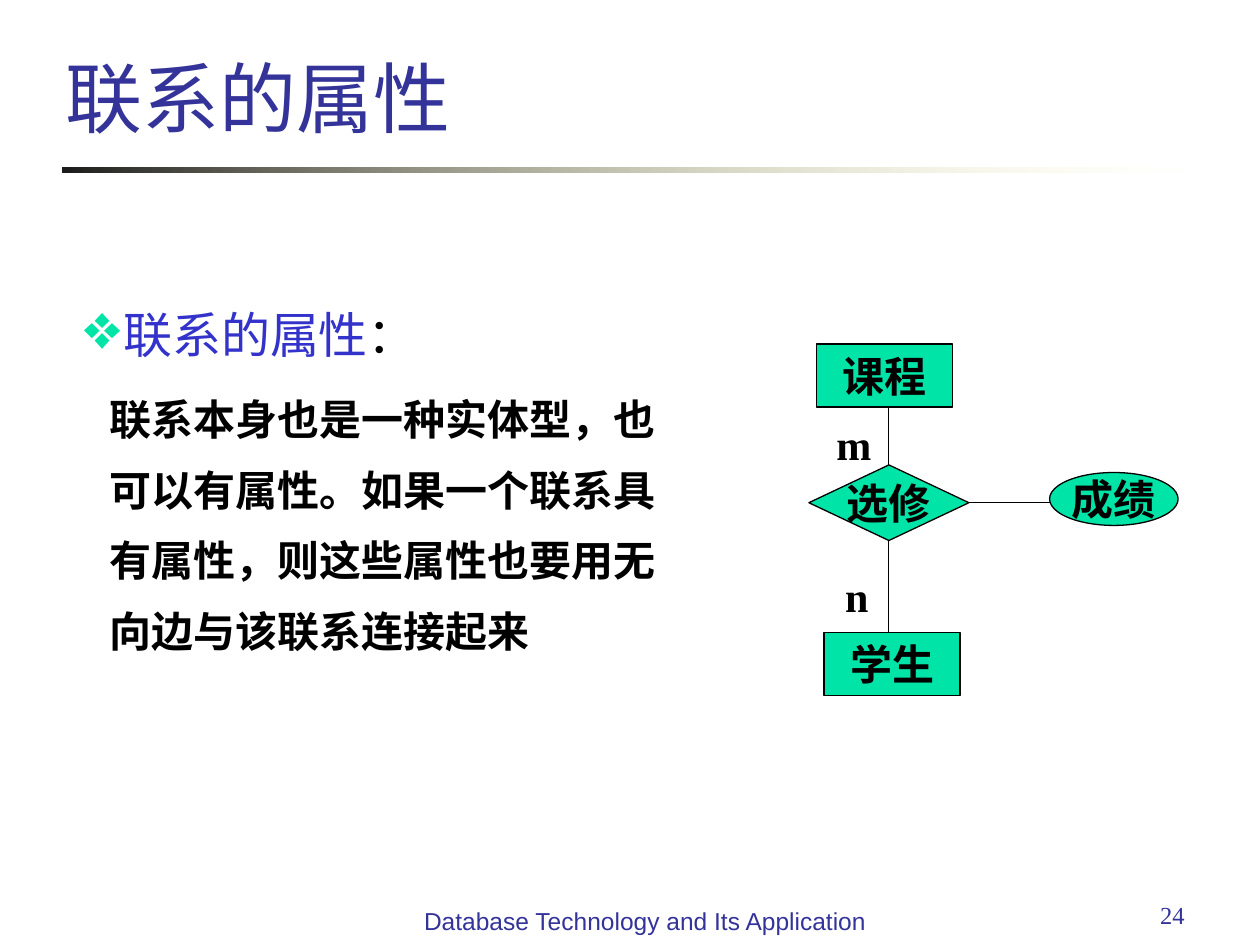
"""Build the slide on attributes of a relationship, with its E-R diagram."""
import pptx
import pptx.util
import pptx.dml.color
import pptx.enum.shapes
import pptx.enum.text
import lxml.etree

Inches, Pt = pptx.util.Inches, pptx.util.Pt
SHAPE = pptx.enum.shapes.MSO_SHAPE
ALIGN = pptx.enum.text.PP_ALIGN
ANCHOR = pptx.enum.text.MSO_ANCHOR
NS = "http://schemas.openxmlformats.org/drawingml/2006/main"
SERIF, SANS = "Times New Roman", "Arial"

COLORS = {"navy": "333399", "blue": "3333CC", "green": "00E4A8", "black": "000000",
          "rule_start": "1C1C1C", "rule_end": "FFFFB7"}

TITLE = "联系的属性"
TERM = [("联系的属性", "blue"), ("：", "black")]
EXPLANATION = "联系本身也是一种实体型，也可以有属性。如果一个联系具有属性，则这些属性也要用无向边与该联系连接起来"
FOOTER = "Database Technology and Its Application"
PAGE_NUMBER = "24"

NODES = [
    ("课程", SHAPE.RECTANGLE, (6.48, 2.73, 1.08, 0.5)),
    ("选修", SHAPE.DIAMOND, (6.42, 3.69, 1.27, 0.6)),
    ("学生", SHAPE.RECTANGLE, (6.54, 5.02, 1.08, 0.5)),
    ("成绩", SHAPE.OVAL, (8.33, 3.75, 1.02, 0.42)),
]
EDGES = [(7.05, 3.69, 7.05, 3.23), (7.05, 4.29, 7.05, 5.02), (7.69, 3.99, 8.33, 3.99)]
CARDINALITIES = [("m", (6.54, 3.27, 0.32, 0.5)), ("n", (6.61, 4.48, 0.32, 0.5))]


def rgb(name):
    return pptx.dml.color.RGBColor.from_string(COLORS[name])


def add_run(p, text, size=24, font=SERIF, color="black", bold=False):
    r = p.add_run()
    r.text = text
    r.font.size, r.font.name, r.font.bold = Pt(size), font, bold
    r.font.color.rgb = rgb(color)


def write(sp, text, align=ALIGN.LEFT, anchor=ANCHOR.TOP, wrap=True, **fmt):
    tf = sp.text_frame
    tf.word_wrap, tf.vertical_anchor = wrap, anchor
    p = tf.paragraphs[0]
    p.alignment = align
    add_run(p, text, **fmt)


def add_text(s, box, text, **fmt):
    write(s.shapes.add_textbox(*map(Inches, box)), text, **fmt)


def add_shape(s, kind, box):
    sp = s.shapes.add_shape(kind, *map(Inches, box))
    sp.shadow.inherit = False
    return sp


def add_rule(s):
    sp = add_shape(s, SHAPE.RECTANGLE, (0.5, 1.33, 9, 0.04))
    sp.line.fill.background()
    sp.fill.gradient()
    sp.fill.gradient_angle = 0
    for stop, name in zip(sp.fill.gradient_stops, ("rule_start", "rule_end")):
        stop.color.rgb = rgb(name)
    end = sp.element.spPr.findall(f".//{{{NS}}}srgbClr")[-1]
    lxml.etree.SubElement(end, f"{{{NS}}}alpha", val="0")


def add_node(s, text, kind, box):
    sp = add_shape(s, kind, box)
    sp.fill.solid()
    sp.fill.fore_color.rgb = rgb("green")
    sp.line.color.rgb = rgb("black")
    sp.line.width = Pt(0.75)
    boxed = kind == SHAPE.RECTANGLE
    write(sp, text, align=ALIGN.CENTER, wrap=boxed, bold=True,
          anchor=ANCHOR.TOP if boxed else ANCHOR.MIDDLE)


def add_edge(s, ends):
    line = s.shapes.add_connector(pptx.enum.shapes.MSO_CONNECTOR.STRAIGHT, *map(Inches, ends))
    line.line.color.rgb = rgb("black")
    line.line.width = Pt(0.75)
    lxml.etree.SubElement(line.element.spPr, f"{{{NS}}}effectLst")


def indent(p, left, first=0):
    pPr = p._p.get_or_add_pPr()
    pPr.set("marL", str(Inches(left)))
    pPr.set("indent", str(Inches(first)))
    p.line_spacing = 1.4
    return pPr


def add_body(s):
    tf = s.shapes.add_textbox(*map(Inches, (0.27, 2.18, 5.28, 3.48))).text_frame
    tf.word_wrap = True
    term = tf.paragraphs[0]
    pPr = indent(term, 0.61, -0.31)
    color = lxml.etree.SubElement(pPr, f"{{{NS}}}buClr")
    lxml.etree.SubElement(color, f"{{{NS}}}srgbClr", val=COLORS["green"])
    lxml.etree.SubElement(pPr, f"{{{NS}}}buSzPct", val="130000")
    lxml.etree.SubElement(pPr, f"{{{NS}}}buChar", char="❖")
    for text, name in TERM:
        add_run(term, text, size=28, color=name)
    p = tf.add_paragraph()
    indent(p, 0.5)
    p.space_before = Pt(6)
    add_run(p, EXPLANATION, bold=True)


def main():
    prs = pptx.Presentation()
    prs.slide_width, prs.slide_height = Inches(10), Inches(7.5)
    s = prs.slides.add_slide(prs.slide_layouts[6])
    add_rule(s)
    add_text(s, (0.42, 0, 8.78, 1.18), TITLE, size=44, font=SANS, color="navy",
             anchor=ANCHOR.BOTTOM)
    for node in NODES:
        add_node(s, *node)
    for ends in EDGES:
        add_edge(s, ends)
    for text, box in CARDINALITIES:
        add_text(s, box, text, bold=True)
    add_body(s)
    add_text(s, (7.17, 7.09, 2.33, 0.52), PAGE_NUMBER, size=14, color="navy",
             align=ALIGN.RIGHT)
    add_text(s, (3.19, 7.14, 3.86, 0.52), FOOTER, size=14, font=SANS, color="navy",
             align=ALIGN.CENTER)
    prs.save("out.pptx")


if __name__ == "__main__":
    main()
